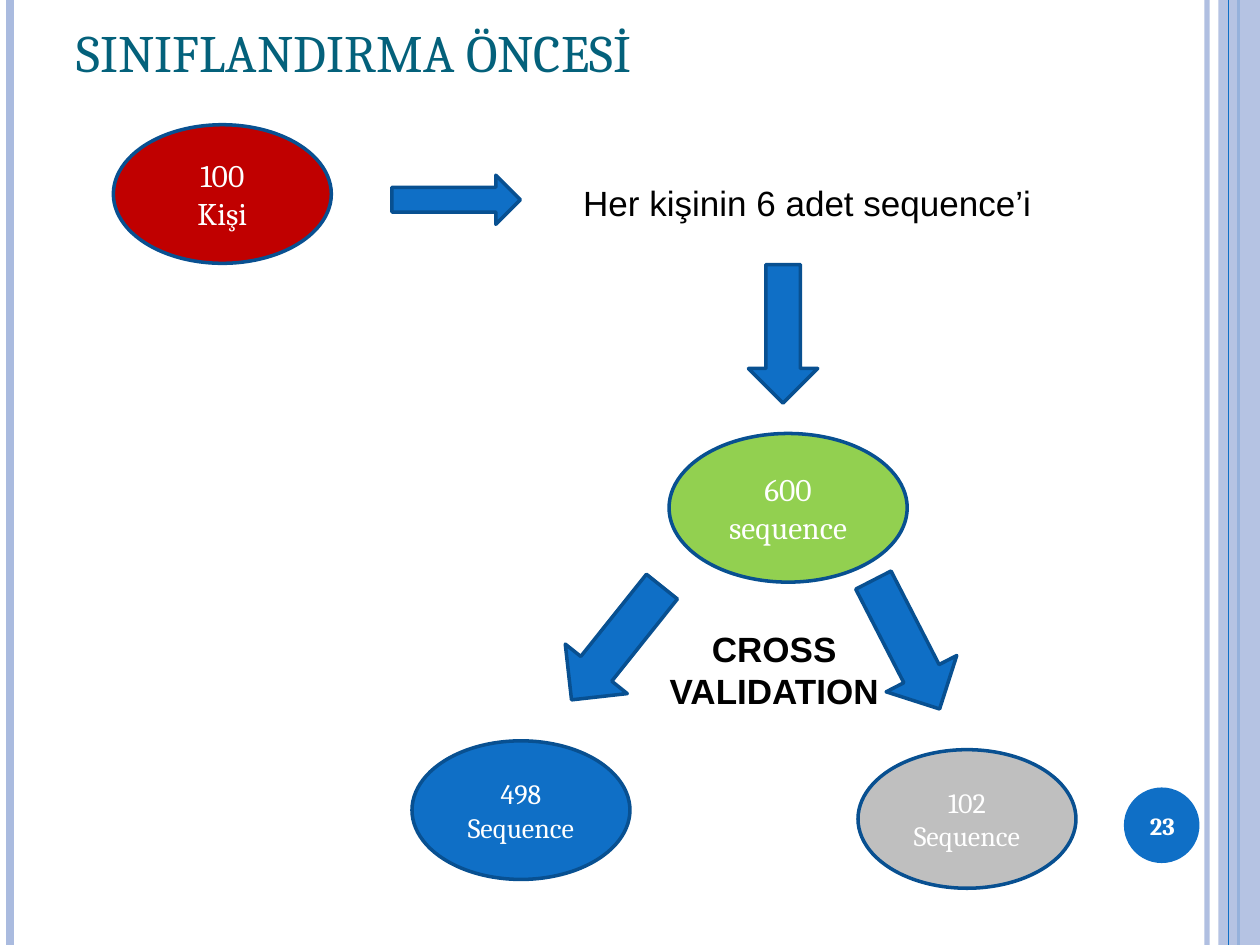
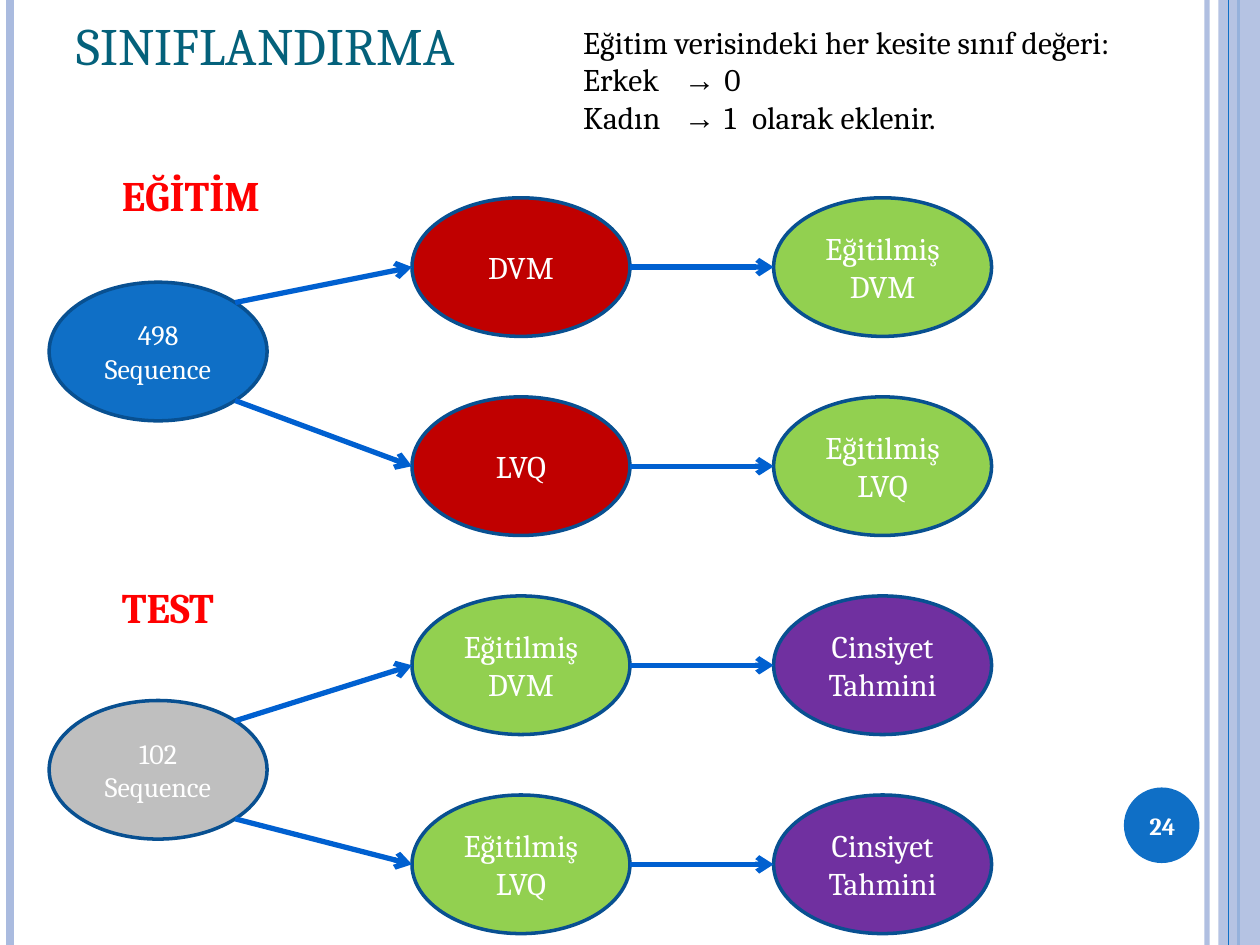
from lxml.etree import SubElement
from pptx import Presentation
from pptx.dml.color import RGBColor
from pptx.enum.shapes import MSO_CONNECTOR, MSO_SHAPE
from pptx.enum.text import MSO_ANCHOR, PP_ALIGN
from pptx.oxml.ns import qn
from pptx.util import Inches, Pt

WHITE, BLACK, HEADING_RED = "FFFFFF", "000000", "FF0000"
BLUE, DARK_BLUE, PALE_BLUE, ARROW_BLUE = "0F6FC6", "085091", "AABBDF", "0060D0"
RED, GREEN, GREY, PURPLE = "C00000", "92D050", "BFBFBF", "7030A0"
TITLE_COLOR = "04617B"
SERIF, SANS = "Cambria", "Arial"

SLIDE_WIDTH, SLIDE_HEIGHT = 10, 7.5
NODE_WIDTH, NODE_HEIGHT = 1.73, 1.1
DIAGONAL = 0.5 ** 0.5 / 2  # offset of an ellipse's 45-degree point, per unit of size
SOURCE_LEFT, MODEL_LEFT, RESULT_LEFT = 0.39, 3.27, 6.14
FIRST_ROW, ROW_STEP = 1.57, 1.58


def rgb(color):
    return RGBColor.from_string(color)


def set_alpha(properties, percent):
    """Make the solid colour inside a shape's or line's properties translucent."""
    color = properties.find(qn("a:solidFill")).find(qn("a:srgbClr"))
    SubElement(color, qn("a:alpha"), val=str(percent * 1000))


def add_run(paragraph, text, size, color, font=SERIF, bold=False):
    run = paragraph.add_run()
    run.text = text
    run.font.name = font
    run.font.size = Pt(size)
    run.font.bold = bold
    run.font.color.rgb = rgb(color)


def add_tab_stops(paragraph, positions):
    tab_list = SubElement(paragraph._p.get_or_add_pPr(), qn("a:tabLst"))
    for position in positions:
        SubElement(tab_list, qn("a:tab"), pos=str(Inches(position)), algn="l")


def fill_text(frame, lines, size, color, align=PP_ALIGN.LEFT, font=SERIF, bold=False):
    for index, line in enumerate(lines):
        paragraph = frame.paragraphs[0] if index == 0 else frame.add_paragraph()
        paragraph.alignment = align
        add_run(paragraph, line, size, color, font, bold)


def add_text_box(slide, left, top, width, height, anchor=MSO_ANCHOR.TOP):
    box = slide.shapes.add_textbox(Inches(left), Inches(top), Inches(width), Inches(height))
    frame = box.text_frame
    frame.word_wrap = True
    frame.vertical_anchor = anchor
    return frame


def add_filled_shape(slide, kind, left, top, width, height, fill, outline=None):
    shape = slide.shapes.add_shape(kind, Inches(left), Inches(top), Inches(width), Inches(height))
    shape.shadow.inherit = False
    shape.fill.solid()
    shape.fill.fore_color.rgb = rgb(fill)
    if outline:
        shape.line.color.rgb = rgb(outline)
        shape.line.width = Pt(2)
    else:
        shape.line.fill.background()
    return shape


def add_node(slide, left, top, lines, fill, size=18, width=NODE_WIDTH, height=NODE_HEIGHT):
    """Add an outlined ellipse with centred white text."""
    node = add_filled_shape(slide, MSO_SHAPE.OVAL, left, top, width, height, fill, DARK_BLUE)
    node.text_frame.word_wrap = True
    node.text_frame.vertical_anchor = MSO_ANCHOR.MIDDLE
    fill_text(node.text_frame, lines, size, WHITE, PP_ALIGN.CENTER)


def add_block_arrow(slide, kind, left, top, width, height, rotation=0):
    arrow = add_filled_shape(slide, kind, left, top, width, height, BLUE, DARK_BLUE)
    arrow.rotation = rotation


def add_line(slide, start, end, color, width):
    points = [Inches(value) for value in (*start, *end)]
    line = slide.shapes.add_connector(MSO_CONNECTOR.STRAIGHT, *points)
    line.line.color.rgb = rgb(color)
    line.line.width = Pt(width)
    SubElement(line._element.spPr, qn("a:effectLst"))
    return line


def add_arrow(slide, start, end):
    arrow = add_line(slide, start, end, ARROW_BLUE, 3)
    SubElement(arrow.line._get_or_add_ln(), qn("a:tailEnd"), type="arrow")


def add_vertical_rule(slide, x, color, width):
    return add_line(slide, (x, 0), (x, SLIDE_HEIGHT), color, width)


def add_framed_slide(presentation, title, title_height, number):
    """Add a slide with the side bands, the title and the number badge."""
    slide = presentation.slides.add_slide(presentation.slide_layouts[6])
    inner_rule = add_vertical_rule(slide, 9.58, PALE_BLUE, 3)
    set_alpha(inner_rule.line._get_or_add_ln(), 93)
    add_vertical_rule(slide, 0.08, PALE_BLUE, 4.5)
    add_vertical_rule(slide, 9.83, BLUE, 1.5)
    band = add_filled_shape(slide, MSO_SHAPE.RECTANGLE, 9.67, 0, 0.33, SLIDE_HEIGHT, PALE_BLUE)
    set_alpha(band._element.spPr, 87)
    add_vertical_rule(slide, 9.75, BLUE, 0.75)

    add_filled_shape(slide, MSO_SHAPE.OVAL, 8.92, 6.25, 0.6, 0.6, BLUE)
    badge = add_text_box(slide, 8.89, 6.27, 0.67, 0.57, MSO_ANCHOR.MIDDLE)
    fill_text(badge, [str(number)], 14, WHITE, PP_ALIGN.CENTER, bold=True)
    heading = add_text_box(slide, 0.51, 0, 8.17, title_height, MSO_ANCHOR.BOTTOM)
    fill_text(heading, [title], 30, TITLE_COLOR)
    return slide


def add_preparation_slide(presentation):
    slide = add_framed_slide(presentation, "SINIFLANDIRMA ÖNCESİ", 0.71, 23)
    add_node(slide, 0.9, 0.99, ["100", "Kişi"], RED)
    add_block_arrow(slide, MSO_SHAPE.RIGHT_ARROW, 3.11, 1.39, 1.02, 0.39)
    per_person = add_text_box(slide, 4.53, 1.39, 4.02, 0.44)
    fill_text(per_person, ["Her kişinin 6 adet sequence’i"], 20, BLACK, font=SANS)
    add_block_arrow(slide, MSO_SHAPE.DOWN_ARROW, 5.94, 2.1, 0.55, 1.1)
    add_node(slide, 5.31, 3.44, ["600 sequence"], GREEN, width=1.89, height=1.18)
    add_block_arrow(slide, MSO_SHAPE.LEFT_ARROW, 4.32, 4.79, 1.15, 0.63, 308.6)
    add_block_arrow(slide, MSO_SHAPE.LEFT_ARROW, 6.62, 4.8, 1.15, 0.63, 242.8)
    add_node(slide, MODEL_LEFT, 5.88, ["498 Sequence"], BLUE, 16)
    add_node(slide, 6.81, 5.95, ["102 Sequence"], GREY, 16)
    validation = add_text_box(slide, 5.16, 4.93, 1.97, 0.77)
    fill_text(validation, ["CROSS VALIDATION"], 20, BLACK, PP_ALIGN.CENTER, SANS, True)


def add_class_legend(slide):
    frame = add_text_box(slide, 4.53, 0.13, 4.88, 1.3)
    fill_text(frame, ["Eğitim verisindeki her kesite sınıf değeri:"], 18, BLACK)
    for label, value in (("Erkek", "0"), ("Kadın", "1\tolarak eklenir.")):
        paragraph = frame.add_paragraph()
        add_tab_stops(paragraph, (0.8, 1.12, 1.34))
        add_run(paragraph, f"{label}\t", 18, BLACK)
        add_run(paragraph, "→", 18, BLACK, SANS)
        add_run(paragraph, f"\t{value}", 18, BLACK)


def add_phase(slide, heading, heading_top, source, source_top, first_row, branches):
    """Add a heading and a source node that branches into model and result rows."""
    frame = add_text_box(slide, 0.87, heading_top, NODE_WIDTH, 0.5)
    fill_text(frame, [heading], 24, HEADING_RED, bold=True)
    source_text, source_fill = source
    add_node(slide, SOURCE_LEFT, source_top, [source_text], source_fill, 16)

    exit_x = SOURCE_LEFT + NODE_WIDTH * (0.5 + DIAGONAL)
    for index, (model, model_fill, result, result_fill) in enumerate(branches):
        top = FIRST_ROW + (first_row + index) * ROW_STEP
        middle = top + NODE_HEIGHT / 2
        side = -DIAGONAL if index == 0 else DIAGONAL
        exit_y = source_top + NODE_HEIGHT * (0.5 + side)
        add_node(slide, MODEL_LEFT, top, [model], model_fill)
        add_node(slide, RESULT_LEFT, top, [result], result_fill)
        add_arrow(slide, (exit_x, exit_y), (MODEL_LEFT, middle))
        add_arrow(slide, (MODEL_LEFT + NODE_WIDTH, middle), (RESULT_LEFT, middle))


def add_classification_slide(presentation):
    slide = add_framed_slide(presentation, "SINIFLANDIRMA", 0.65, 24)
    add_class_legend(slide)
    models = ("DVM", "LVQ")
    training = [(model, RED, f"Eğitilmiş {model}", GREEN) for model in models]
    testing = [(f"Eğitilmiş {model}", GREEN, "Cinsiyet Tahmini", PURPLE) for model in models]
    add_phase(slide, "EĞİTİM", 1.3, ("498 Sequence", BLUE), 2.24, 0, training)
    add_phase(slide, "TEST", 4.57, ("102 Sequence", GREY), 5.56, 2, testing)


def main():
    presentation = Presentation()
    presentation.slide_width = Inches(SLIDE_WIDTH)
    presentation.slide_height = Inches(SLIDE_HEIGHT)
    add_preparation_slide(presentation)
    add_classification_slide(presentation)
    presentation.save("out.pptx")


if __name__ == "__main__":
    main()
